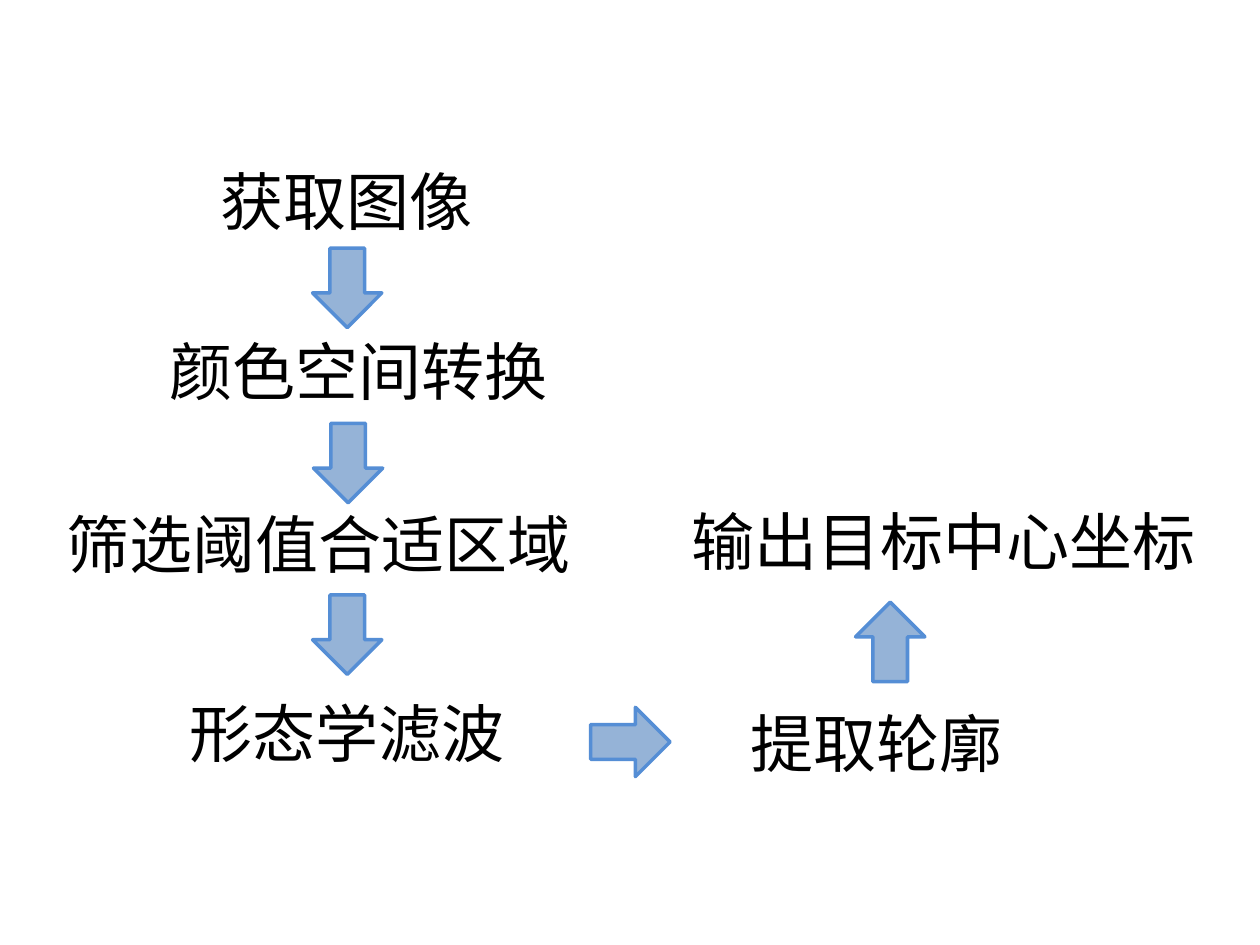
from typing import NamedTuple

from pptx import Presentation
from pptx.dml.color import RGBColor
from pptx.enum.shapes import MSO_SHAPE
from pptx.enum.text import MSO_AUTO_SIZE
from pptx.util import Pt


class Step(NamedTuple):
    text: str
    left: float
    top: float
    width: float


class Arrow(NamedTuple):
    left: float
    top: float
    rotation: float


STEP_HEIGHT = 51
ARROW_WIDTH, ARROW_HEIGHT = 45.4, 39.6
DOWN, RIGHT, UP = 90, 0, 270

STEPS = [
    Step("获取图像", 118.8, 89.3, 294.5),
    Step("颜色空间转换", 90, 186.5, 240.5),
    Step("筛选阈值合适区域", 31, 285.1, 311.8),
    Step("形态学滤波", 101.5, 393.1, 218.2),
    Step("提取轮廓", 421.9, 398.9, 283.7),
    Step("输出目标中心坐标", 388.1, 283.7, 317.5),
]
ARROWS = [
    Arrow(175.7, 144.7, DOWN),
    Arrow(176.2, 244.8, DOWN),
    Arrow(175.7, 342.9, DOWN),
    Arrow(337.5, 404.2, RIGHT),
    Arrow(486, 347, UP),
]


def color(value: str) -> RGBColor:
    return RGBColor.from_string(value)


def add_step(s, step: Step) -> None:
    box = s.shapes.add_textbox(Pt(step.left), Pt(step.top), Pt(step.width), Pt(STEP_HEIGHT))
    tf = box.text_frame
    tf.word_wrap = True
    tf.auto_size = MSO_AUTO_SIZE.SHAPE_TO_FIT_TEXT
    p = tf.paragraphs[0]
    p.text = step.text
    p.font.name = "Calibri"
    p.font.size = Pt(36)
    p.font.color.rgb = color("000000")


def add_arrow(s, arrow: Arrow) -> None:
    sp = s.shapes.add_shape(
        MSO_SHAPE.RIGHT_ARROW, Pt(arrow.left), Pt(arrow.top), Pt(ARROW_WIDTH), Pt(ARROW_HEIGHT)
    )
    sp.rotation = arrow.rotation
    sp.shadow.inherit = False
    sp.fill.solid()
    sp.fill.fore_color.rgb = color("95B3D7")
    sp.line.color.rgb = color("558ED5")
    sp.line.width = Pt(2)


def main() -> None:
    prs = Presentation()
    prs.slide_width, prs.slide_height = Pt(720), Pt(540)
    s = prs.slides.add_slide(prs.slide_layouts[6])
    for step in STEPS:
        add_step(s, step)
    for arrow in ARROWS:
        add_arrow(s, arrow)
    prs.save("out.pptx")


if __name__ == "__main__":
    main()
